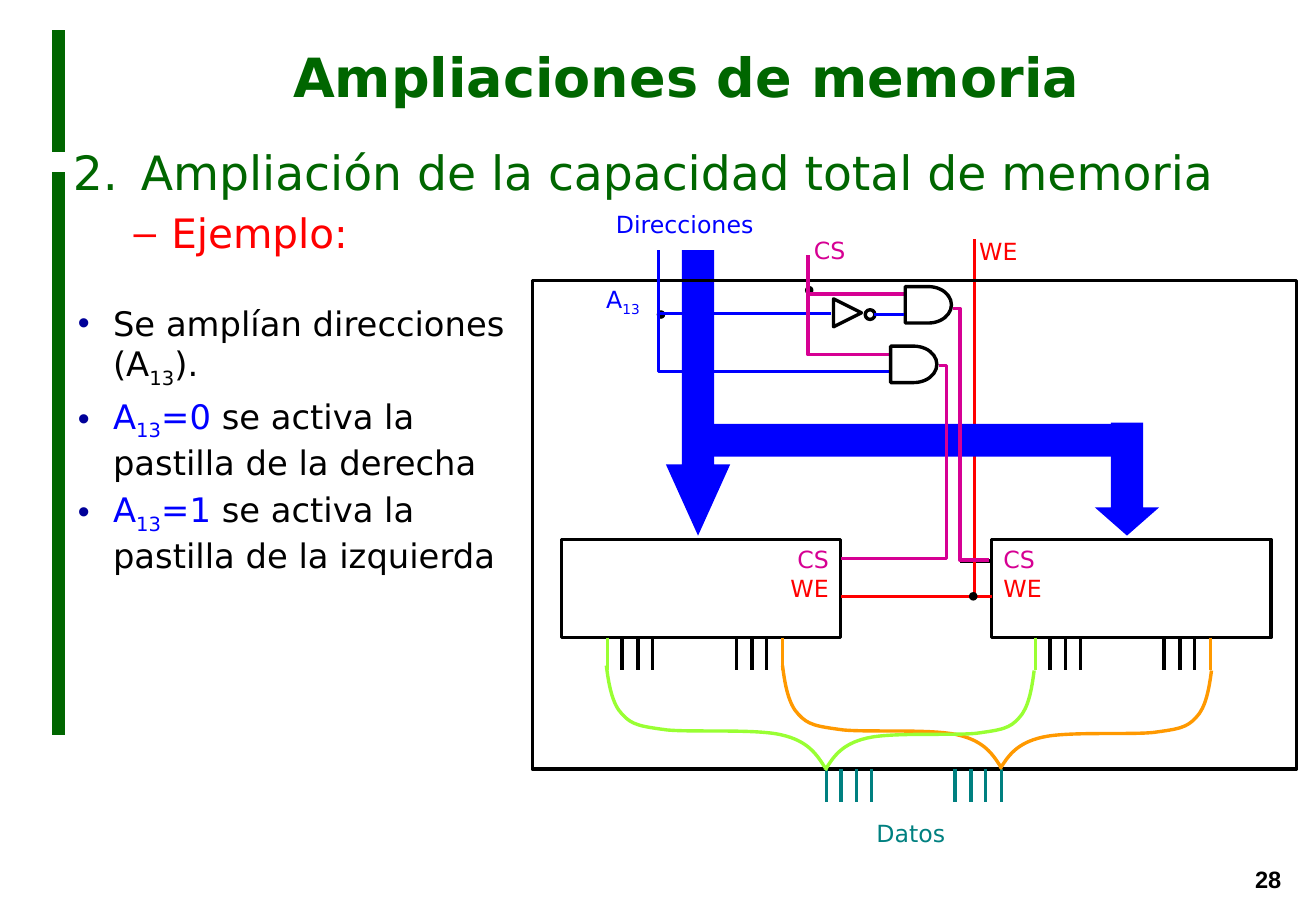
from lxml.etree import SubElement
from pptx import Presentation
from pptx.dml.color import RGBColor
from pptx.enum.shapes import MSO_CONNECTOR as Link, MSO_SHAPE as Kind
from pptx.enum.text import MSO_ANCHOR as Anchor, MSO_AUTO_SIZE as Fit, PP_ALIGN as Align
from pptx.oxml.ns import qn
from pptx.util import Emu, Pt

GREEN, RED, BLUE, PINK = "006600", "FF0000", "0000FF", "D60093"
BLACK, WHITE, TEAL, NAVY = "000000", "FFFFFF", "008080", "000099"
LIME, ORANGE = "99FF33", "FF9900"
PINS = [0, 12, 25, 37, 106, 119, 131, 144]
BEND = [
    (0, 0), (2, 16), (5, 32), (13, 40), (21, 49), (28, 50), (50, 53),
    (72, 55), (123, 52), (144, 57), (166, 62), (173, 73), (180, 84),
]


def px(n):
    return Emu(round(n * 9144))


def tint(code):
    return RGBColor.from_string(code)


def plain(words):
    return [(words, None, False)]


class Board:
    font = "DejaVu Sans"
    thick = 2

    def __init__(self, slide):
        self.slide = slide
        self.shapes = slide.shapes

    def para(self, p, runs, size, color, bold=False, align=None, font=None):
        p.alignment = align
        p.font.name, p.font.size, p.font.bold = font or self.font, Pt(size), bold
        hues = {hue for _, hue, _ in runs}
        if len(hues) == 1:
            p.font.color.rgb = tint(hues.pop() or color)
            hues = ()
        for words, hue, sub in runs:
            r = p.add_run()
            r.text = words
            if hues:
                r.font.color.rgb = tint(hue or color)
            if sub:
                r.font._element.set("baseline", "-25000")

    def mark(self, p, left, hang, color, char=None, start=None):
        props = p._p.get_or_add_pPr()
        props.set("marL", str(px(left)))
        props.set("indent", str(-px(hang)))
        paint = SubElement(props, qn("a:buClr"))
        SubElement(paint, qn("a:srgbClr"), val=color)
        if char:
            SubElement(props, qn("a:buChar"), char=char)
        else:
            SubElement(props, qn("a:buFont"), typeface=self.font)
            SubElement(props, qn("a:buAutoNum"), type="arabicPeriod", startAt=str(start))

    def holder(self, index, x, y, w, h, anchor=Anchor.TOP):
        item = self.slide.placeholders[index]
        item.left, item.top, item.width, item.height = map(px, (x, y, w, h))
        frame = item.text_frame
        frame.auto_size, frame.vertical_anchor = Fit.NONE, anchor
        return frame

    def label(self, x, y, w, runs, color, h=41, size=14, **style):
        frame = self.shapes.add_textbox(*map(px, (x, y, w, h))).text_frame
        frame.word_wrap = True
        self.para(frame.paragraphs[0], runs, size, color, **style)

    def line(self, x1, y1, x2, y2, color, thick=None):
        wire = self.shapes.add_connector(Link.STRAIGHT, *map(px, (x1, y1, x2, y2)))
        wire.line.color.rgb, wire.line.width = tint(color), Pt(thick or self.thick)
        SubElement(wire._element.spPr, qn("a:effectLst"))

    def dress(self, item, fill=None, edge=None, thick=None):
        item.shadow.inherit = False
        if fill:
            item.fill.solid()
            item.fill.fore_color.rgb = tint(fill)
        else:
            item.fill.background()
        if edge:
            item.line.color.rgb, item.line.width = tint(edge), Pt(thick or self.thick)
        else:
            item.line.fill.background()

    def shape(self, kind, x, y, w, h, fill=None, edge=None, thick=None):
        item = self.shapes.add_shape(kind, *map(px, (x, y, w, h)))
        self.dress(item, fill, edge, thick)
        return item

    def route(self, dots, color):
        dots = [(px(x), px(y)) for x, y in dots]
        build = self.shapes.build_freeform(*dots[0])
        build.add_line_segments(dots[1:], close=False)
        item = build.convert_to_shape()
        self.dress(item, edge=color)
        return item

    def curve(self, start, end, color):
        wide, high = (end[0] - start[0]) / 180, (end[1] - start[1]) / 84
        item = self.route([(start[0] + x * wide, start[1] + y * high) for x, y in BEND], color)
        legs = list(item._element.iter(qn("a:lnTo")))
        trail = legs[0].getparent()
        for i in range(0, len(legs), 3):
            cubic = SubElement(trail, qn("a:cubicBezTo"))
            for leg in legs[i:i + 3]:
                cubic.append(leg[0])
                trail.remove(leg)

    def dot(self, x, y):
        self.shape(Kind.OVAL, x, y, 6, 6, BLACK, BLACK, 0.75)

    def arrow(self, x, y, h, head):
        item = self.shape(Kind.DOWN_ARROW, x, y, 53, h, BLUE)
        item.adjustments[0], item.adjustments[1] = 0.5, head

    def pins(self, x, y, color, first=None, last=None):
        for i, step in enumerate(PINS):
            hue = {0: first, len(PINS) - 1: last}.get(i) or color
            self.line(x + step, y, x + step, y + 27, hue)

    def chip(self, x, pin, align):
        frame = self.shape(Kind.RECTANGLE, x, 444, 230, 81, WHITE, BLACK).text_frame
        frame.vertical_anchor = Anchor.TOP
        self.para(frame.paragraphs[0], plain("CS"), 14, PINK, align=align)
        self.para(frame.add_paragraph(), plain("WE"), 14, RED, align=align)
        self.pins(pin, 525, BLACK, LIME, ORANGE)


def fill_text(board):
    title = board.holder(0, 78, 0, 974, 125, Anchor.MIDDLE)
    board.para(title.paragraphs[0], plain("Ampliaciones de memoria"), 32, GREEN, True, Align.CENTER)

    head = board.holder(1, 50, 113, 1003, 120)
    p = head.paragraphs[0]
    board.mark(p, 56, 56, GREEN, start=2)
    board.para(p, plain("Ampliación de la capacidad total de memoria"), 28, GREEN)
    p = head.add_paragraph()
    p.level = 1
    board.mark(p, 81, 31, RED, char="–")
    board.para(p, plain("Ejemplo:"), 24, RED)

    notes = board.holder(2, 54, 244, 402, 366)
    items = [[("Se amplían direcciones (A", None, False), ("13", None, True), (").", None, False)]]
    for bit, side in ((0, "derecha"), (1, "izquierda")):
        items.append([("A", BLUE, False), ("13", BLUE, True), (f"={bit}", BLUE, False),
                      (f" se activa la pastilla de la {side}", BLACK, False)])
    for i, runs in enumerate(items):
        p = notes.add_paragraph() if i else notes.paragraphs[0]
        p.level = 2
        board.mark(p, 29, 29, NAVY, char="•")
        board.para(p, runs, 20, BLACK)


def draw_plan(board):
    board.chip(462, 500, Align.RIGHT)
    board.arrow(548, 206, 235, 1.108)
    board.chip(816, 852, Align.LEFT)
    board.arrow(901, 348, 93, 0.439)
    board.line(692, 491, 793, 491, RED)
    board.line(790, 462, 816, 462, BLACK)
    board.line(790, 491, 816, 491, RED)
    board.line(802, 491, 802, 197, RED)
    board.shape(Kind.RECTANGLE, 562, 349, 378, 27, BLUE)
    board.dot(663, 236)
    board.dot(541, 256)
    board.shape(Kind.RECTANGLE, 438, 231, 629, 402, edge=BLACK)

    board.label(660, 189, 55, plain("CS"), PINK)
    board.label(796, 190, 77, plain("WE"), RED)
    board.label(679, 669, 141, plain("Datos"), TEAL, align=Align.CENTER)
    board.label(497, 168, 141, plain("Direcciones"), BLUE)
    board.label(489, 230, 55, [("A", None, False), ("13", None, True)], BLUE)

    board.line(542, 206, 542, 290, BLUE)
    board.line(684, 258, 543, 258, BLUE)
    board.route([(542, 286), (542, 306), (734, 306)], BLUE)
    for dots in (
        [(773, 301), (779, 301), (779, 460), (692, 460)],
        [(784, 254), (790, 254), (790, 461), (814, 461)],
        [(665, 210), (665, 242), (744, 242)],
        [(665, 240), (665, 292), (732, 292)],
    ):
        board.route(dots, PINK)
    board.dot(798, 488)

    board.pins(680, 633, TEAL)
    for start, end, color in (
        ((499, 548), (679, 632), LIME),
        ((644, 548), (824, 632), ORANGE),
        ((997, 552), (823, 633), ORANGE),
        ((851, 552), (679, 634), LIME),
    ):
        board.curve(start, end, color)

    for x, y in ((745, 236), (733, 285)):
        board.shape(Kind.FLOWCHART_DELAY, x, y, 38, 30, edge=BLACK)
    board.shape(Kind.FLOWCHART_MERGE, 686, 246, 23, 23, edge=BLACK).rotation = 270
    board.shape(Kind.FLOWCHART_CONNECTOR, 712, 255, 8, 8, edge=BLACK)
    board.line(744, 259, 719, 259, BLUE)


def main():
    deck = Presentation()
    deck.slide_width, deck.slide_height = px(1083), px(750)
    board = Board(deck.slides.add_slide(deck.slide_layouts[3]))
    for top, end in ((25, 125), (142, 605)):
        board.line(48, top, 48, end, GREEN, 8)
    fill_text(board)
    draw_plan(board)
    board.label(1023, 707, 57, plain("28"), BLACK, h=34, bold=True, font="Arial")
    deck.save("out.pptx")


if __name__ == "__main__":
    main()
